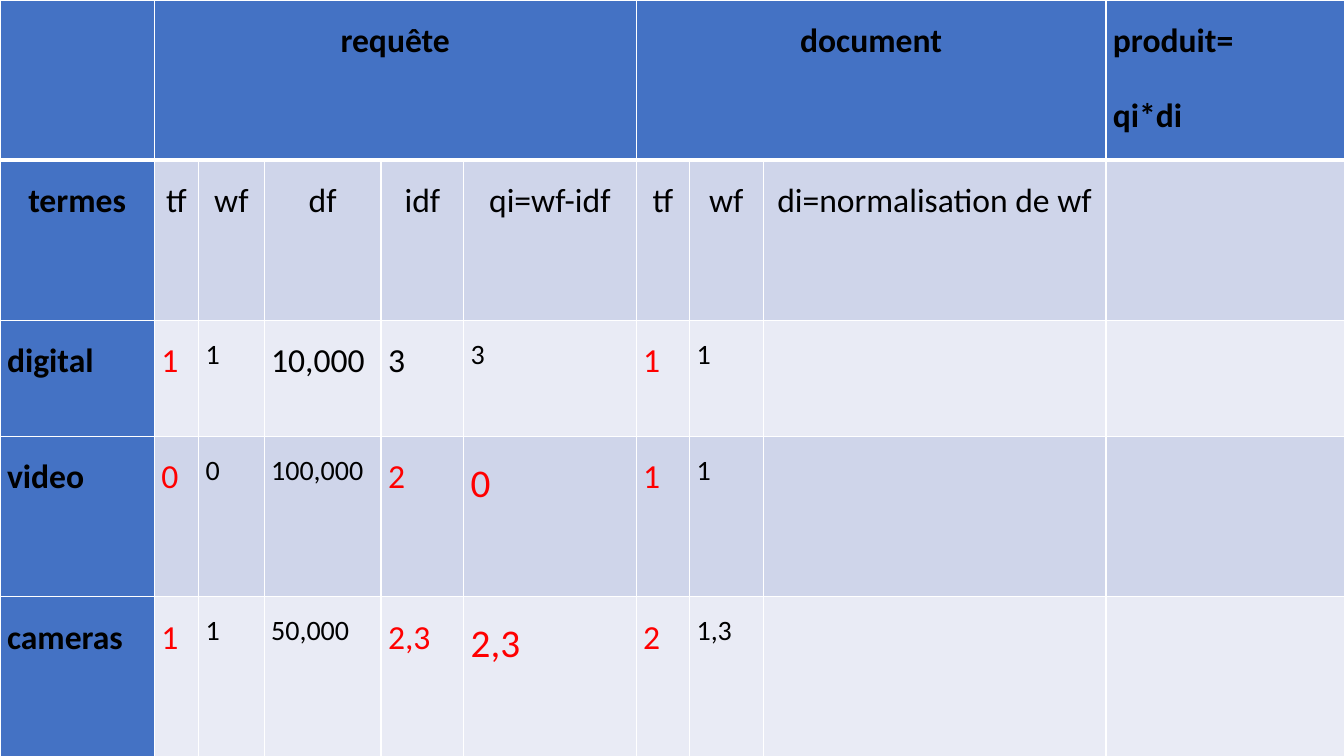
from lxml import etree
from pptx import Presentation
from pptx.dml.color import RGBColor
from pptx.enum.text import PP_ALIGN
from pptx.oxml.ns import qn
from pptx.util import Inches, Pt

CENTER, JUSTIFY = PP_ALIGN.CENTER, PP_ALIGN.JUSTIFY
BLACK = RGBColor(0x00, 0x00, 0x00)
RED = RGBColor(0xFF, 0x00, 0x00)
WHITE = RGBColor(0xFF, 0xFF, 0xFF)
BLUE = RGBColor(0x44, 0x72, 0xC4)
BAND_DARK = RGBColor(0xCF, 0xD5, 0xEA)
BAND_LIGHT = RGBColor(0xE9, 0xEB, 0xF5)

COL_WIDTHS = [1.53, 0.44, 0.65, 1.16, 0.82, 1.71, 0.53, 0.73, 3.4, 2.37]
ROW_HEIGHTS = [1.59, 1.59, 1.15, 1.59, 1.59]

# Header groups: first column, last column, text, alignment
GROUPS = [(1, 5, "requête", CENTER), (6, 8, "document", CENTER),
          (9, 9, "produit=\nqi*di", JUSTIFY)]
SUBHEADS = ["termes", "tf", "wf", "df", "idf", "qi=wf-idf",
            "tf", "wf", "di=normalisation de wf"]
TERMS = [
    ["digital", "1", "1", "10,000", "3", "3", "1", "1"],
    ["video", "0", "0", "100,000", "2", "0", "1", "1"],
    ["cameras", "1", "1", "50,000", "2,3", "2,3", "2", "1,3"],
]
# Size and colour of each column, then the cells of "digital" that differ
COL_FORMATS = [(24, BLACK), (24, RED), (20, BLACK), (20, BLACK),
               (24, RED), (28, RED), (24, RED), (20, BLACK)]
DIGITAL_FORMATS = {3: (24, BLACK), 4: (24, BLACK), 5: (20, BLACK)}


def write(tf, text, size=24, color=BLACK, bold=False, align=JUSTIFY):
    for i, line in enumerate(text.split("\n")):
        p = tf.add_paragraph() if i else tf.paragraphs[0]
        p.alignment, p.line_spacing, p.space_after = align, 1.5, Pt(10)
        r = p.add_run()
        r.text = line
        font = r.font
        font.name, font.size, font.bold = "Calibri", Pt(size), bold
        font.color.rgb = color


class SlideBuilder:
    border_color = WHITE
    border_width = 1
    header_width = 3
    side_margin = Inches(0.07)

    def __init__(self, prs):
        self.s = prs.slides.add_slide(prs.slide_layouts[6])

    def table(self, widths, heights):
        shape = self.s.shapes.add_table(
            len(heights), len(widths), 0, 0,
            Inches(sum(widths)), Inches(sum(heights)))
        table = shape.table
        for col, width in zip(table.columns, widths):
            col.width = Inches(width)
        for row, height in zip(table.rows, heights):
            row.height = Inches(height)
        for i in range(len(heights)):
            for j in range(len(widths)):
                self.style_cell(table.cell(i, j), i, j)
        return table

    def style_cell(self, cell, row, col):
        self.border(cell, "L", self.border_width)
        self.border(cell, "R", self.border_width)
        self.border(cell, "T", self.header_width if row == 1 else self.border_width)
        self.border(cell, "B", self.header_width if row == 0 else self.border_width)
        cell.fill.solid()
        band = BAND_DARK if row % 2 else BAND_LIGHT
        cell.fill.fore_color.rgb = BLUE if row == 0 or col == 0 else band

    def border(self, cell, side, width):
        tc_pr = cell._tc.get_or_add_tcPr()
        ln = etree.SubElement(tc_pr, qn("a:ln" + side), w=str(Pt(width)))
        fill = etree.SubElement(ln, qn("a:solidFill"))
        etree.SubElement(fill, qn("a:srgbClr"), val=str(self.border_color))

    def cell_text(self, cell, text, **fmt):
        cell.margin_left = cell.margin_right = self.side_margin
        cell.margin_top = cell.margin_bottom = 0
        write(cell.text_frame, text, **fmt)


def main():
    prs = Presentation()
    prs.slide_width, prs.slide_height = Inches(13.33), Inches(7.5)
    slide = SlideBuilder(prs)
    table = slide.table(COL_WIDTHS, ROW_HEIGHTS)

    # Header groups
    for first, last, text, align in GROUPS:
        cell = table.cell(0, first)
        if last > first:
            cell.merge(table.cell(0, last))
        slide.cell_text(cell, text, bold=True, align=align)

    # Column names
    for j, text in enumerate(SUBHEADS):
        slide.cell_text(table.cell(1, j), text, bold=j == 0, align=CENTER)

    # Terms and their weights
    for i, values in enumerate(TERMS):
        for j, text in enumerate(values):
            size, color = COL_FORMATS[j]
            if i == 0:
                size, color = DIGITAL_FORMATS.get(j, (size, color))
            slide.cell_text(table.cell(i + 2, j), text,
                            size=size, color=color, bold=j == 0)

    prs.save("out.pptx")


if __name__ == "__main__":
    main()
